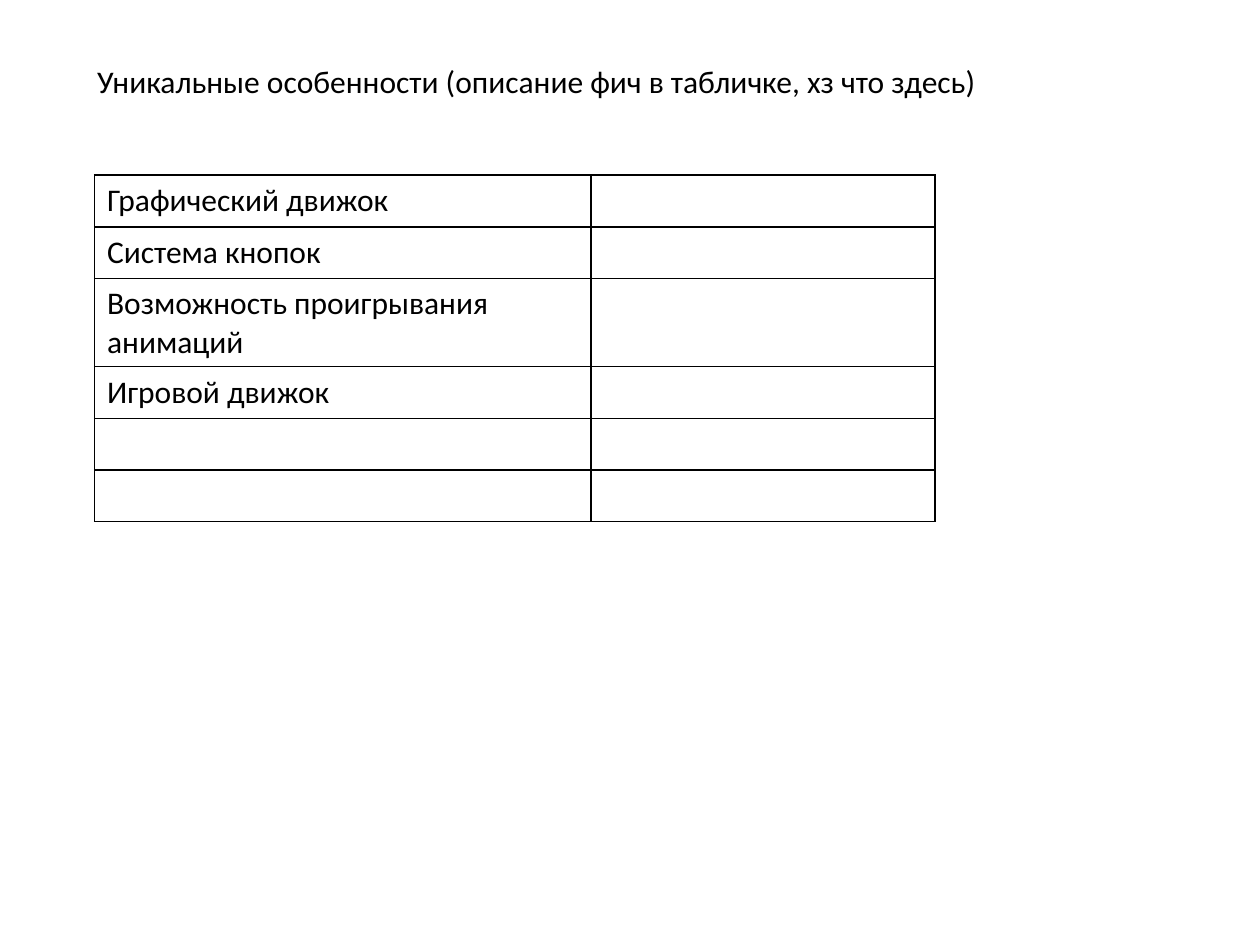
from lxml.etree import SubElement
from pptx import Presentation
from pptx.dml.color import RGBColor
from pptx.enum.text import MSO_ANCHOR, MSO_AUTO_SIZE, PP_ALIGN
from pptx.oxml.ns import qn
from pptx.util import Inches, Pt

COLORS = {"ink": "000000"}
FEATURES = [
    "Графический движок",
    "Система кнопок",
    "Возможность проигрывания анимаций",
    "Игровой движок",
    "",
    "",
]


class FeatureSlide:
    """Holds the text and border style and adds elements to one slide."""

    font, size, border = "Calibri", Pt(18), Pt(1)

    def __init__(self, prs):
        self.width, self.height = prs.slide_width, prs.slide_height
        self.s = prs.slides.add_slide(prs.slide_layouts[5])

    def box(self, x, y, w, h):
        return [int(self.width * x), int(self.height * y),
                int(self.width * w), int(self.height * h)]

    def set_text(self, tf, text):
        p = tf.paragraphs[0]
        p.text = text
        p.alignment = PP_ALIGN.LEFT
        p.font.name, p.font.size = self.font, self.size
        p.font.color.rgb = RGBColor.from_string(COLORS["ink"])

    def title(self, text, x, y, w, h):
        sp = self.s.shapes.title
        sp.left, sp.top, sp.width, sp.height = self.box(x, y, w, h)
        tf = sp.text_frame
        tf.word_wrap = False
        tf.auto_size = MSO_AUTO_SIZE.SHAPE_TO_FIT_TEXT
        tf.vertical_anchor = MSO_ANCHOR.TOP
        self.set_text(tf, text)

    def outline(self, cell):
        tc_pr = cell._tc.get_or_add_tcPr()
        for side in ("lnL", "lnR", "lnT", "lnB"):
            ln = SubElement(tc_pr, qn(f"a:{side}"), w=str(int(self.border)))
            fill = SubElement(ln, qn("a:solidFill"))
            SubElement(fill, qn("a:srgbClr"), val=COLORS["ink"])

    def table(self, rows, x, y, col_shares, row_share):
        frame = self.s.shapes.add_table(
            len(rows), len(col_shares),
            *self.box(x, y, sum(col_shares), row_share * len(rows)))
        table = frame.table
        table.first_row = table.horz_banding = False
        for column, share in zip(table.columns, col_shares):
            column.width = int(self.width * share)
        for row, text in zip(table.rows, rows):
            row.height = int(self.height * row_share)
            for cell, value in zip(row.cells, (text, "")):
                self.outline(cell)
                cell.fill.background()
                self.set_text(cell.text_frame, value)


prs = Presentation()
prs.slide_width, prs.slide_height = Inches(10), Inches(7.5)
slide = FeatureSlide(prs)
slide.title("Уникальные особенности (описание фич в табличке, хз что здесь)",
            0.067, 0.44 / 7.5, 0.726, 0.4 / 7.5)
slide.table(FEATURES, 0.075, 1.39 / 7.5, (0.394, 0.273), 0.41 / 7.5)
prs.save("out.pptx")
